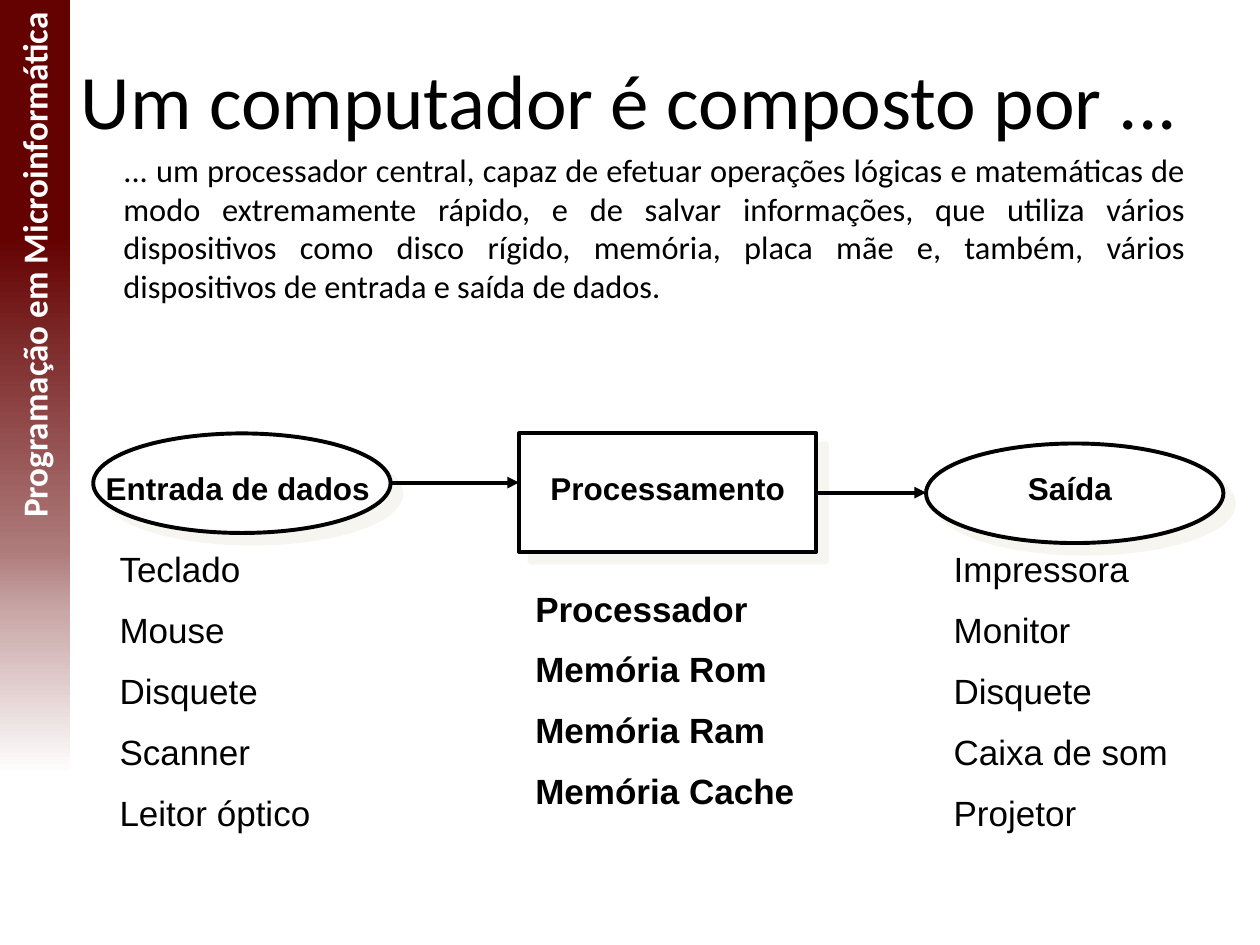
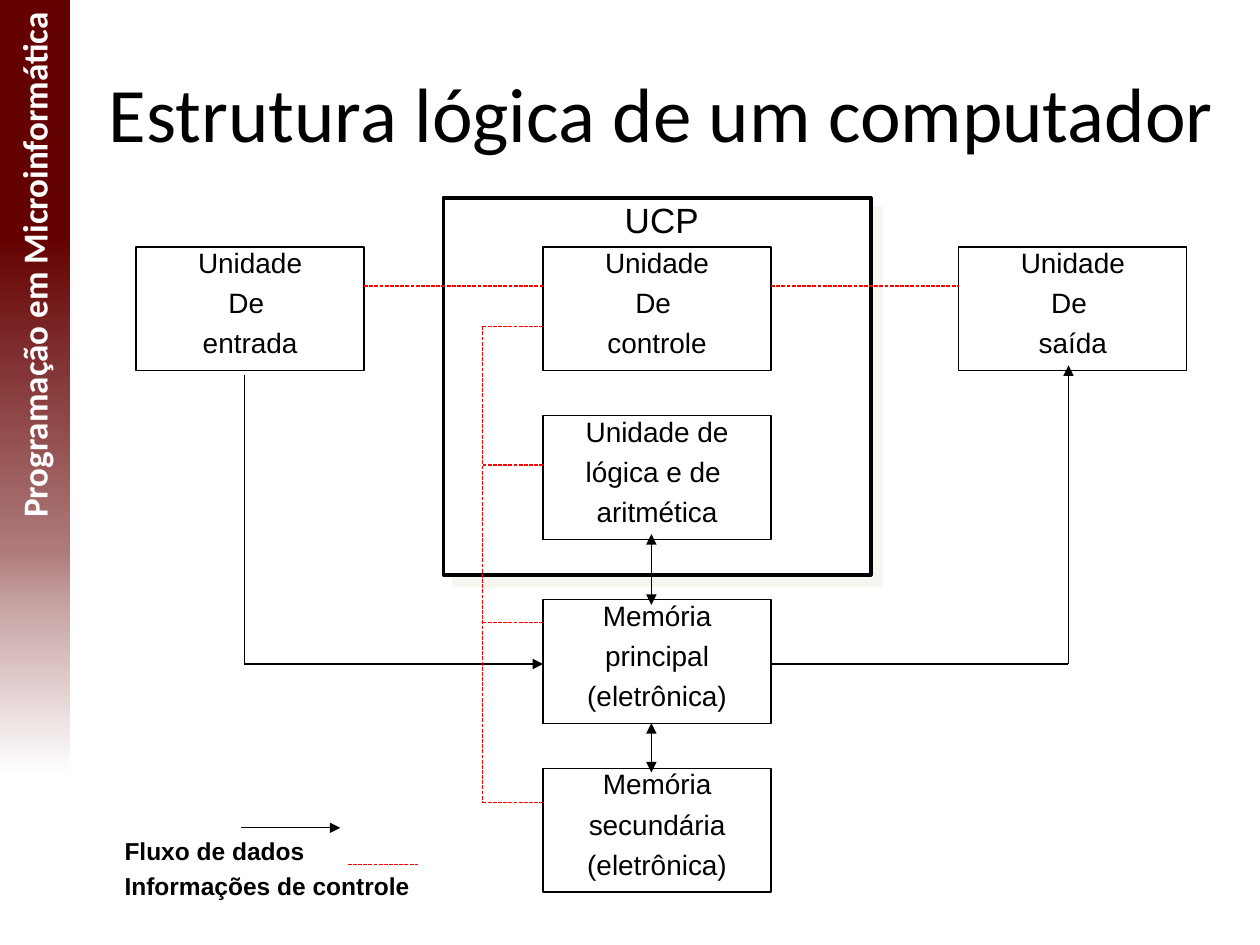
"""Build two slides on the parts and the logical structure of a computer."""
from dataclasses import dataclass
from typing import NamedTuple

import pptx
import pptx.dml.color
import pptx.enum.dml
import pptx.enum.shapes
import pptx.enum.text
import pptx.oxml
import pptx.oxml.ns
import pptx.util
from pptx.presentation import Presentation
from pptx.shapes.autoshape import Shape
from pptx.slide import Slide

RGB = pptx.dml.color.RGBColor
BLACK = RGB(0x00, 0x00, 0x00)
WHITE = RGB(0xFF, 0xFF, 0xFF)
RED = RGB(0xFF, 0x00, 0x00)
SHADE = RGB(0xEE, 0xEC, 0xE1)
BAND_STOPS = ((18, WHITE), (35, RGB(0xCA, 0xA8, 0xA8)),
              (42, RGB(0xAD, 0x79, 0x79)), (75, RGB(0x64, 0x01, 0x01)))

WIDTH, HEIGHT = pptx.util.Inches(10), pptx.util.Inches(7.5)
COLUMNS, ROWS = 100, 75
HEAVY, THIN = 2.25, 0.75
SPACE_SHARE = 0.54

ALIGN = pptx.enum.text.PP_ALIGN
ANCHOR = pptx.enum.text.MSO_ANCHOR
KIND = pptx.enum.shapes.MSO_SHAPE


class Area(NamedTuple):
    """A rectangle in grid columns and rows."""
    column: float
    row: float
    columns: float
    rows: float


class Spot(NamedTuple):
    """A point in grid columns and rows."""
    column: float
    row: float


@dataclass(frozen=True)
class Style:
    """The look of the paragraphs in one text."""
    size: float
    font: str = "Arial"
    bold: bool = False
    color: RGB = BLACK
    align: ALIGN = ALIGN.LEFT
    line_spacing: float = 1.0


@dataclass(frozen=True)
class Link:
    """A straight line with optional arrowheads."""
    start: Spot
    end: Spot
    color: RGB = BLACK
    weight: float = THIN
    head: bool = False
    tail: bool = False
    dashed: bool = False


@dataclass(frozen=True)
class Unit:
    """A labelled block of the logical structure."""
    column: float
    row: float
    lines: tuple[str, ...]


TITLE = Style(44, "Calibri", align=ALIGN.CENTER)
BODY = Style(18.5, "Calibri", align=ALIGN.JUSTIFY)
BAND_TEXT = Style(20, "Calibri", True, WHITE, ALIGN.RIGHT)
LIST = Style(20)
BOLD_LIST = Style(20, bold=True)
STAGE = Style(18, bold=True)
CENTERED_STAGE = Style(18, bold=True, align=ALIGN.CENTER)
UNIT = Style(16, align=ALIGN.CENTER, line_spacing=0.75)
LEGEND = Style(14, bold=True, line_spacing=0.75)

INTRO = ("... um processador central, capaz de efetuar operações lógicas e matemáticas de modo "
         "extremamente rápido, e de salvar informações, que utiliza vários dispositivos como disco "
         "rígido, memória, placa mãe e, também, vários dispositivos de entrada e saída de dados.")

LEFT, MIDDLE, RIGHT = 10.8, 43.1, 76.1
UNIT_COLUMNS, UNIT_ROWS = 18.1, 9.8
MIDDLE_END = MIDDLE + UNIT_COLUMNS
UNITS = (
    Unit(LEFT, 19.6, ("Unidade", "De ", "entrada")),
    Unit(MIDDLE, 19.6, ("Unidade", "De ", "controle")),
    Unit(RIGHT, 19.6, ("Unidade", "De ", "saída")),
    Unit(MIDDLE, 33, ("Unidade de", "lógica e de ", "aritmética")),
    Unit(MIDDLE, 47.6, ("Memória", "principal", "(eletrônica)")),
    Unit(MIDDLE, 61, ("Memória", "secundária", "(eletrônica)")),
)
INPUT_COLUMN, CORE_COLUMN, OUTPUT_COLUMN = 19.4, 51.7, 84.8
FLOW_ROW, CONTROL_ROW, BUS_COLUMN = 52.7, 22.7, 38.3
BUS_ROWS = (25.9, 36.9, 49.4, 63.7)


def across(columns: float) -> int:
    """Turn grid columns into a length."""
    return round(WIDTH * columns / COLUMNS)


def down(rows: float) -> int:
    """Turn grid rows into a length."""
    return round(HEIGHT * rows / ROWS)


def bounds(area: Area) -> tuple[int, int, int, int]:
    """Turn an area into left, top, width and height."""
    return across(area.column), down(area.row), across(area.columns), down(area.rows)


def xml_child(parent, content: str):
    """Append a drawing element written as XML."""
    name, rest = content.split(" ", 1)
    node = pptx.oxml.parse_xml(f"<a:{name} {pptx.oxml.ns.nsdecls('a')} {rest}")
    parent.append(node)
    return node


def write(shape: Shape, lines: tuple[str, ...], style: Style) -> None:
    """Fill a shape with one paragraph per line."""
    frame = shape.text_frame
    frame.word_wrap = True
    frame.auto_size = pptx.enum.text.MSO_AUTO_SIZE.NONE
    for index, line in enumerate(lines):
        para = frame.add_paragraph() if index else frame.paragraphs[0]
        para.alignment = style.align
        para.line_spacing = style.line_spacing
        para.space_before = pptx.util.Pt(round(style.size * SPACE_SHARE, 1) if index else 0)
        span = para.add_run()
        span.text = line
        span.font.name = style.font
        span.font.size = pptx.util.Pt(style.size)
        span.font.bold = style.bold
        span.font.color.rgb = style.color


def add_text(page: Slide, area: Area, lines: tuple[str, ...], style: Style) -> Shape:
    """Add a text box."""
    box = page.shapes.add_textbox(*bounds(area))
    write(box, lines, style)
    return box


def add_outline(page: Slide, kind: KIND, area: Area, weight: float) -> Shape:
    """Add an unfilled black outline."""
    shape = page.shapes.add_shape(kind, *bounds(area))
    shape.shadow.inherit = False
    shape.fill.background()
    shape.line.color.rgb = BLACK
    shape.line.width = pptx.util.Pt(weight)
    return shape


def add_shaded(page: Slide, kind: KIND, area: Area) -> None:
    """Add a heavy white shape with an offset shadow."""
    shape = add_outline(page, kind, area, HEAVY)
    shape.fill.solid()
    shape.fill.fore_color.rgb = WHITE
    effects = shape.element.spPr.find(pptx.oxml.ns.qn("a:effectLst"))
    xml_child(effects, f'outerShdw blurRad="0" dist="{pptx.util.Pt(8.5)}" dir="2700000" '
                       f'algn="ctr" rotWithShape="0"><a:srgbClr val="{SHADE}">'
                       '<a:alpha val="50000"/></a:srgbClr></a:outerShdw>')


def add_link(page: Slide, link: Link) -> None:
    """Add a connector with its dash and arrowheads."""
    line = page.shapes.add_connector(
        pptx.enum.shapes.MSO_CONNECTOR.STRAIGHT,
        across(link.start.column), down(link.start.row),
        across(link.end.column), down(link.end.row))
    line.line.color.rgb = link.color
    line.line.width = pptx.util.Pt(link.weight)
    outline = line.element.spPr.find(pptx.oxml.ns.qn("a:ln"))
    if link.dashed:
        xml_child(outline, 'prstDash val="sysDash"/>')
    for end, wanted in (("headEnd", link.head), ("tailEnd", link.tail)):
        if wanted:
            xml_child(outline, f'{end} type="triangle"/>')
    xml_child(line.element.spPr, "effectLst />")


def add_page(deck: Presentation, title: str, area: Area) -> Slide:
    """Add a title-only slide and place its title."""
    page = deck.slides.add_slide(deck.slide_layouts[5])
    heading = page.shapes.title
    heading.left, heading.top, heading.width, heading.height = bounds(area)
    write(heading, (title,), TITLE)
    heading.text_frame.vertical_anchor = ANCHOR.MIDDLE
    return page


def move_band_to_layout(page: Slide) -> None:
    """Draw the side band and keep it on the layout of the slide."""
    band = add_outline(page, KIND.RECTANGLE, Area(-34.9, 34.6, 75.2, 5.7), THIN)
    band.line.fill.background()
    band.fill.gradient()
    band.fill.gradient_angle = 0
    stops = band.element.spPr.find(".//" + pptx.oxml.ns.qn("a:gsLst"))
    for stop in list(stops):
        stops.remove(stop)
    for share, color in BAND_STOPS:
        xml_child(stops, f'gs pos="{share * 1000}"><a:srgbClr val="{color}"/></a:gs>')
    label = add_text(page, Area(-22.7, 23.2, 50.8, 4.4),
                     ("Programação em Microinformática",), BAND_TEXT)
    for number, shape in enumerate((band, label), start=101):
        shape.rotation = 270
        shape.element.nvSpPr.cNvPr.set("id", str(number))
        page.slide_layout.shapes.element.append(shape.element)


def draw_parts(deck: Presentation) -> None:
    """Draw input, processing and output with their devices."""
    page = add_page(deck, "Um computador é composto por ...", Area(5, 1.6, 90, 12.5))
    move_band_to_layout(page)
    intro = add_text(page, Area(5, 11.4, 90, 20.6), (INTRO,), BODY)
    intro.text_frame.margin_left = across(4.8)
    for area, lines, style in (
        (Area(8.5, 43, 22.8, 24.6),
         ("Teclado", "Mouse", "Disquete", "Scanner", "Leitor óptico"), LIST),
        (Area(74.7, 43, 22.8, 24.6),
         ("Impressora", "Monitor", "Disquete", "Caixa de som", "Projetor"), LIST),
        (Area(41.5, 46.1, 26, 19.5),
         ("Processador", "Memória Rom", "Memória Ram", "Memória Cache"), BOLD_LIST),
    ):
        add_text(page, area, lines, style)
    add_shaded(page, KIND.OVAL, Area(7.4, 34.4, 23.6, 7.9))
    add_shaded(page, KIND.OVAL, Area(73.5, 35.2, 23.6, 7.9))
    add_shaded(page, KIND.RECTANGLE, Area(41.2, 34.4, 23.6, 9.4))
    add_link(page, Link(Spot(31, 38.3), Spot(41.2, 38.3), weight=HEAVY, tail=True))
    add_link(page, Link(Spot(64.9, 39.1), Spot(73.5, 39.1), weight=HEAVY, tail=True))
    add_text(page, Area(7.4, 36.7, 25.2, 4), ("Entrada de dados",), STAGE)
    add_text(page, Area(41.2, 36.7, 23.6, 4), ("Processamento",), CENTERED_STAGE)
    add_text(page, Area(80.6, 36.7, 11, 4), ("Saída",), STAGE)


def control(start: Spot, end: Spot) -> Link:
    """Describe a dashed control line."""
    return Link(start, end, RED, dashed=True)


def draw_structure(deck: Presentation) -> None:
    """Draw the logical units with data and control lines."""
    page = add_page(deck, "Estrutura lógica de um computador", Area(7.5, 2.6, 90, 12.5))
    add_shaded(page, KIND.RECTANGLE, Area(35.2, 15.7, 33.9, 29.9))
    for unit in UNITS:
        area = Area(unit.column, unit.row, UNIT_COLUMNS, UNIT_ROWS)
        block = add_outline(page, KIND.RECTANGLE, area, THIN)
        write(block, unit.lines, UNIT)
        block.text_frame.vertical_anchor = ANCHOR.TOP
    add_text(page, Area(48.6, 15.3, 9.5, 4.3), ("UCP",), LIST)
    corner = Spot(INPUT_COLUMN, FLOW_ROW)
    far_corner = Spot(OUTPUT_COLUMN, FLOW_ROW)
    links = [
        Link(Spot(INPUT_COLUMN, 29.8), corner),
        Link(corner, Spot(MIDDLE, FLOW_ROW), tail=True),
        Link(Spot(MIDDLE_END, FLOW_ROW), far_corner),
        Link(far_corner, Spot(OUTPUT_COLUMN, 29), tail=True),
        control(Spot(LEFT + UNIT_COLUMNS, CONTROL_ROW), Spot(MIDDLE, CONTROL_ROW)),
        control(Spot(MIDDLE_END, CONTROL_ROW), Spot(RIGHT, CONTROL_ROW)),
        control(Spot(BUS_COLUMN, BUS_ROWS[0]), Spot(BUS_COLUMN, BUS_ROWS[-1])),
        *(control(Spot(BUS_COLUMN, row), Spot(MIDDLE, row)) for row in BUS_ROWS),
        *(Link(Spot(CORE_COLUMN, top), Spot(CORE_COLUMN, bottom), head=True, tail=True)
          for top, bottom in ((42.4, 48), (57.4, 61.3))),
        Link(Spot(19.1, 65.7), Spot(27, 65.7), tail=True),
        control(Spot(27.6, 68.6), Spot(33.2, 68.6)),
    ]
    add_text(page, Area(8.9, 66.4, 32.3, 8.6),
             ("Fluxo de dados", "Informações de controle"), LEGEND)
    for link in links:
        add_link(page, link)


def main() -> None:
    """Build and save the deck."""
    deck = pptx.Presentation()
    deck.slide_width, deck.slide_height = WIDTH, HEIGHT
    draw_parts(deck)
    draw_structure(deck)
    deck.save("out.pptx")


if __name__ == "__main__":
    main()
